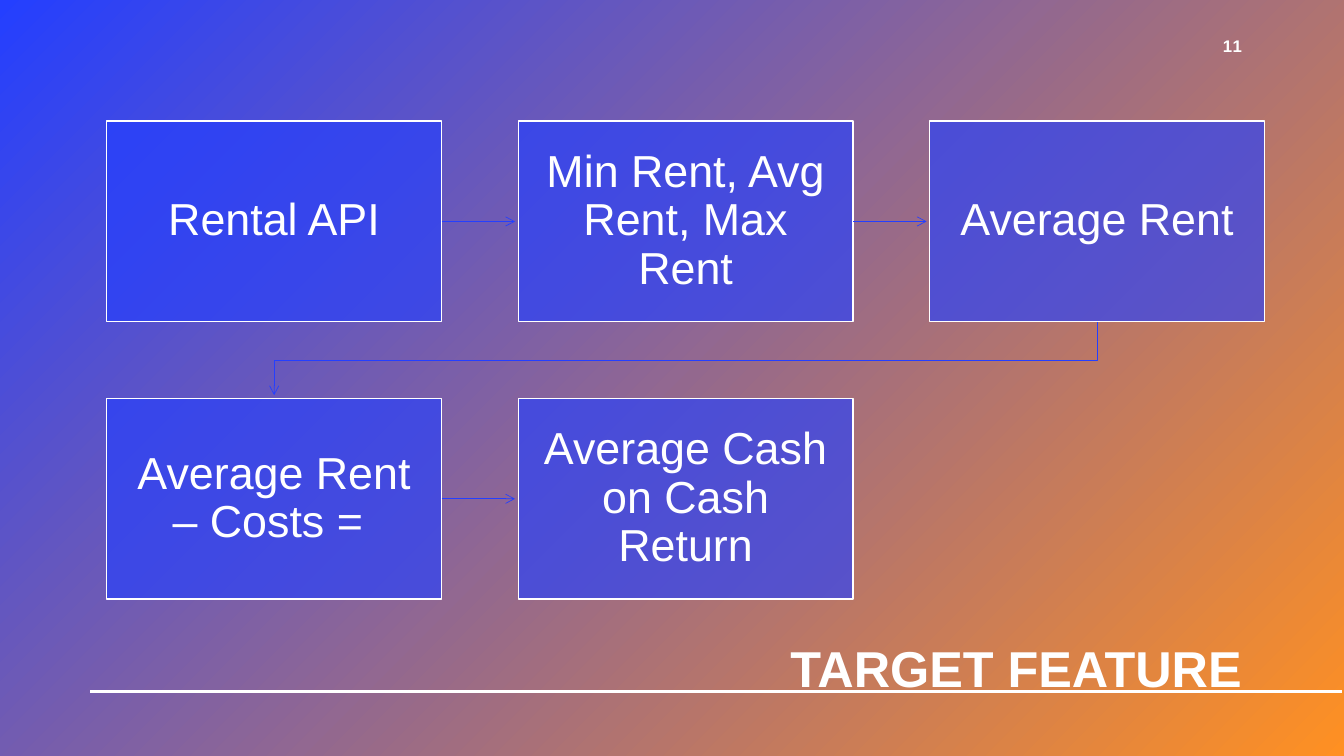
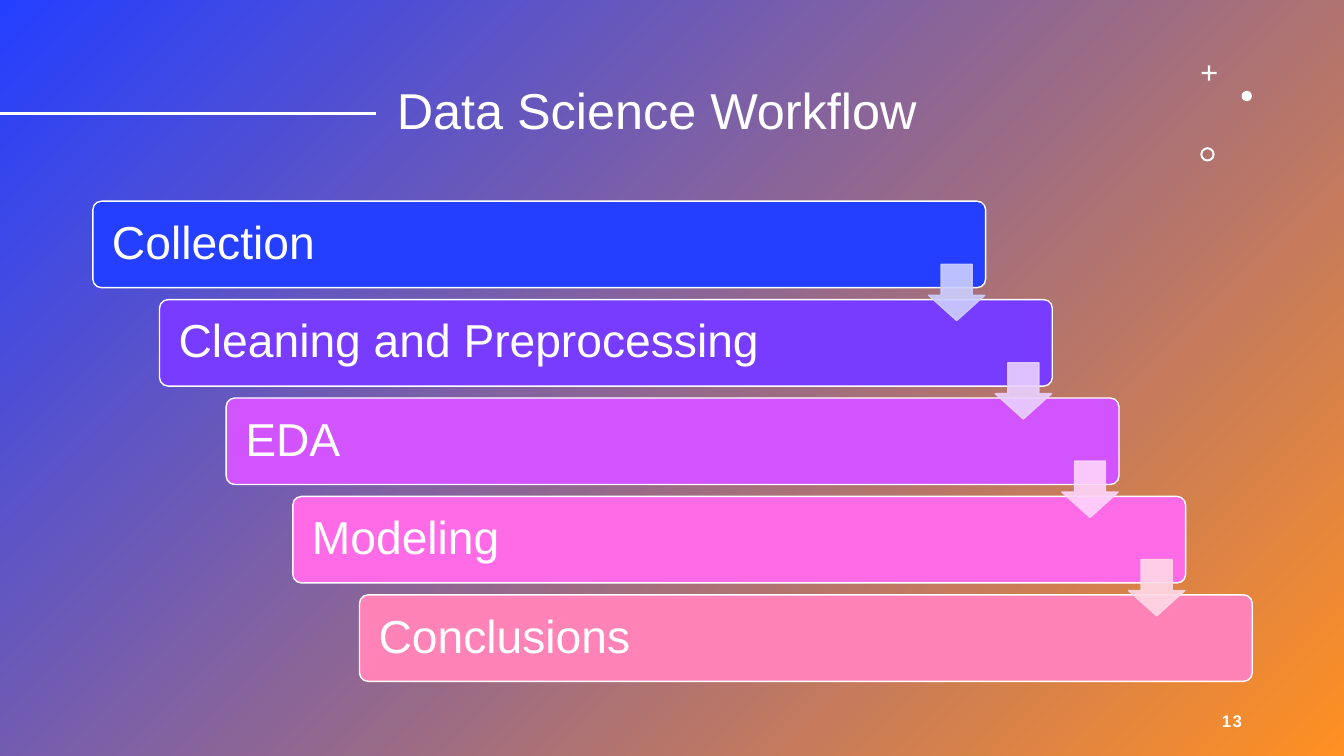
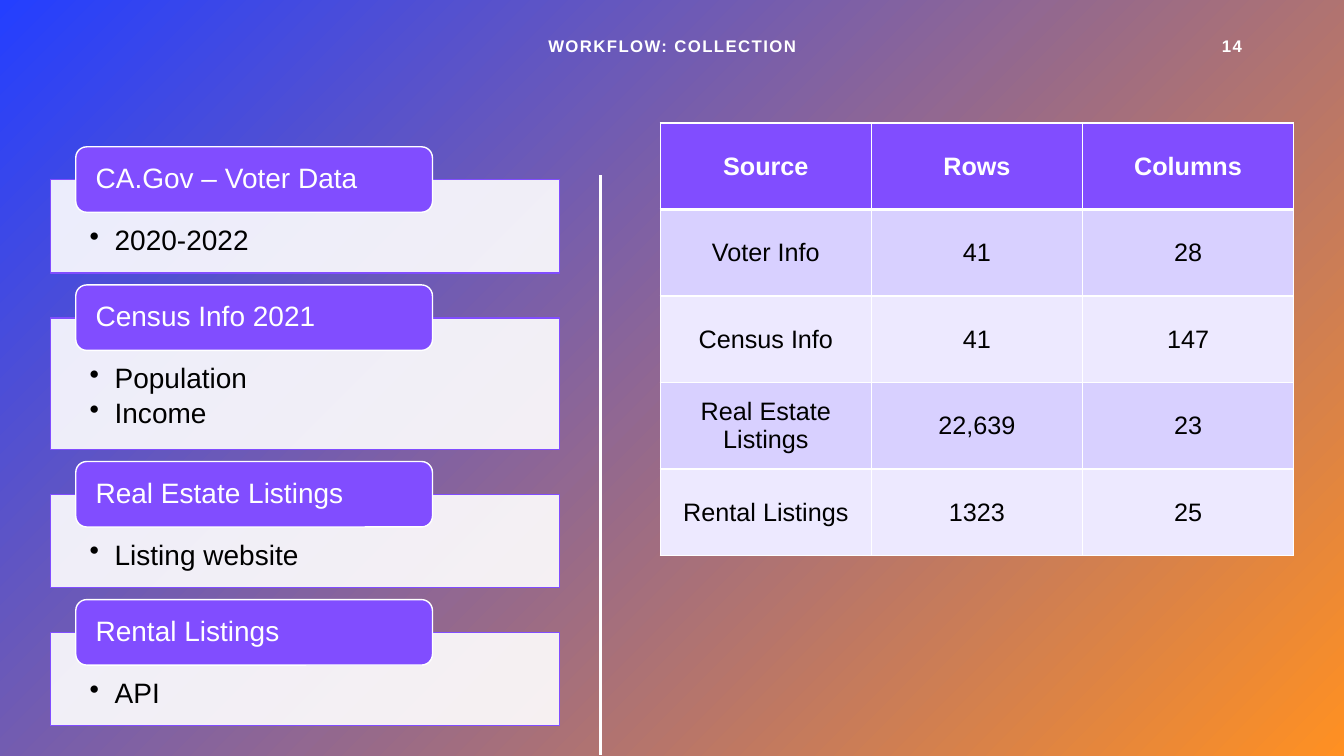
from dataclasses import dataclass
from itertools import pairwise

from lxml import etree
from pptx import Presentation
from pptx.dml.color import RGBColor
from pptx.enum import shapes, text
from pptx.oxml.ns import qn
from pptx.util import Cm, Pt

BLUE = RGBColor(0x24, 0x3F, 0xFF)
ORANGE = RGBColor(0xFF, 0x90, 0x22)
PURPLE = RGBColor(0x81, 0x4D, 0xFF)
LILAC = RGBColor(0xD8, 0xD0, 0xFF)
PALE = RGBColor(0xED, 0xE9, 0xFF)
WHITE = RGBColor(0xFF, 0xFF, 0xFF)
BLACK = RGBColor(0x00, 0x00, 0x00)

FONT = "Arial"
KIND = shapes.MSO_SHAPE
LEFT, MID, RIGHT = text.PP_ALIGN.LEFT, text.PP_ALIGN.CENTER, text.PP_ALIGN.RIGHT
WIDE, HIGH = 33.87, 19.05
EDGE = 31.55  # right edge of titles and page numbers

Point = tuple[float, float]


@dataclass(frozen=True)
class Box:
    """Place and size in centimetres."""
    x: float
    y: float
    w: float
    h: float

    def cm(self) -> list[int]:
        return [Cm(v) for v in (self.x, self.y, self.w, self.h)]


@dataclass(frozen=True)
class Step:
    name: str
    fill: RGBColor
    arrow: RGBColor | None = None


@dataclass(frozen=True)
class Card:
    head: str
    items: list[str]


FLOW = ["Rental API", "Min Rent, Avg Rent, Max Rent", "Average Rent",
        "Average Rent – Costs = ", "Average Cash on Cash Return"]

STEPS = [
    Step("Collection", BLUE, RGBColor(0xCD, 0xCF, 0xFF)),
    Step("Cleaning and Preprocessing", RGBColor(0x77, 0x3C, 0xFF),
         RGBColor(0xE9, 0xD1, 0xFF)),
    Step("EDA", RGBColor(0xD1, 0x54, 0xFF), RGBColor(0xFF, 0xD5, 0xFB)),
    Step("Modeling", RGBColor(0xFF, 0x6B, 0xE7), RGBColor(0xFF, 0xD9, 0xE6)),
    Step("Conclusions", RGBColor(0xFF, 0x83, 0xB6)),
]

CARDS = [
    Card("CA.Gov – Voter Data", ["2020-2022"]),
    Card("Census Info 2021", ["Population", "Income"]),
    Card("Real Estate Listings", ["Listing website"]),
    Card("Rental Listings", ["API"]),
]

ROWS = [
    ("Source", "Rows", "Columns"),
    ("Voter Info", "41", "28"),
    ("Census Info", "41", "147"),
    ("Real Estate Listings", "22,639", "23"),
    ("Rental Listings", "1323", "25"),
]


def write(frame, words: str | list[str], *, size: float, color: RGBColor = WHITE,
          bold: bool = False, align=LEFT, lead: float = 1.0, after: float = 0,
          track: float = 0, bullet: bool = False) -> None:
    """Fill a text frame, one paragraph for each string."""
    lines = [words] if isinstance(words, str) else words
    for i, line in enumerate(lines):
        para = frame.add_paragraph() if i else frame.paragraphs[0]
        if bullet:
            props = para._p.get_or_add_pPr()
            props.set("marL", str(Cm(0.63)))
            props.set("indent", str(-Cm(0.63)))
            etree.SubElement(props, qn("a:buChar")).set("char", "•")
        para.alignment = align
        para.line_spacing = lead
        para.space_after = Pt(after)
        run = para.add_run()
        run.text = line
        font = run.font
        font.name, font.size, font.bold = FONT, Pt(size), bold
        font.color.rgb = color
        if track:
            run._r.get_or_add_rPr().set("spc", str(round(track * 100)))


def label(slide, box: Box, words: str, anchor=text.MSO_ANCHOR.MIDDLE, **style) -> None:
    frame = slide.shapes.add_textbox(*box.cm()).text_frame
    frame.word_wrap = True
    frame.vertical_anchor = anchor
    write(frame, words, **style)


def draw(slide, kind, box: Box, fill: RGBColor, line: RGBColor | None = None,
         adj: tuple[float, ...] = (), alpha: int = 100):
    """Add a preset shape; alpha also thins a line of the fill's colour."""
    shape = slide.shapes.add_shape(kind, *box.cm())
    shape.shadow.inherit = False
    for i, value in enumerate(adj):
        shape.adjustments[i] = value
    shape.fill.solid()
    shape.fill.fore_color.rgb = fill
    if line is None:
        shape.line.fill.background()
    else:
        shape.line.color.rgb = line
        shape.line.width = Pt(1)
    if alpha < 100:
        deep = ".//" if line == fill else "./"
        for color in shape._element.spPr.findall(
                f"{deep}{qn('a:solidFill')}/{qn('a:srgbClr')}"):
            etree.SubElement(color, qn("a:alpha")).set("val", str(alpha * 1000))
    return shape


def inset(shape, side: float, top: float = 0, base: float = 0,
          anchor=text.MSO_ANCHOR.MIDDLE):
    """Set the text margins and return the frame."""
    frame = shape.text_frame
    frame.word_wrap = True
    frame.vertical_anchor = anchor
    frame.margin_left = frame.margin_right = Cm(side)
    frame.margin_top, frame.margin_bottom = Cm(top), Cm(base)
    return frame


def stroke(item, color: RGBColor, width: float, arrow: bool = False) -> None:
    item.line.color.rgb = color
    item.line.width = Pt(width)
    props = item._element.spPr
    if arrow:
        etree.SubElement(props.find(qn("a:ln")), qn("a:tailEnd")).set("type", "arrow")
    etree.SubElement(props, qn("a:effectLst"))


def rule(slide, start: Point, end: Point, color: RGBColor = WHITE,
         width: float = 2, arrow: bool = False) -> None:
    ends = [Cm(v) for v in (*start, *end)]
    item = slide.shapes.add_connector(shapes.MSO_CONNECTOR.STRAIGHT, *ends)
    stroke(item, color, width, arrow)


def bend(slide, points: list[Point]) -> None:
    """Draw an arrow that turns at each inner point."""
    first, *rest = [(Cm(x), Cm(y)) for x, y in points]
    path = slide.shapes.build_freeform(*first)
    path.add_line_segments(rest, close=False)
    item = path.convert_to_shape()
    item.fill.background()
    stroke(item, BLUE, 0.5, arrow=True)


def number(slide, page: int, y: float = 0.64) -> None:
    label(slide, Box(EDGE - 4, y, 4, 1.02), str(page),
          size=12, bold=True, align=RIGHT, track=1)


def paint(master) -> None:
    """Give every slide the diagonal gradient."""
    fill = master.background.fill
    fill.gradient()
    fill.gradient_angle = 315
    for stop, color, place in zip(fill.gradient_stops, (BLUE, ORANGE), (0, 1)):
        stop.color.rgb = color
        stop.position = place


def target(slide) -> None:
    label(slide, Box(EDGE - 25.25, 14.73, 25.25, 3), "TARGET FEATURE",
          text.MSO_ANCHOR.BOTTOM, size=36, bold=True, align=RIGHT, lead=0.9)
    number(slide, 11)
    rule(slide, (33.81, 17.42), (2.26, 17.42))

    boxes = [Box(2.69 + 10.37 * (i % 3), 3.05 + 6.99 * (i // 3), 8.44, 5.06)
             for i in range(len(FLOW))]
    for box, words in zip(boxes, FLOW):
        shape = draw(slide, KIND.RECTANGLE, box, BLUE, WHITE, alpha=65)
        write(inset(shape, 0.6, 0.64, 0.64), words, size=32, align=MID, lead=0.9)
    gap = 0.08
    for a, b in pairwise(boxes):
        if a.y == b.y:
            y = a.y + a.h / 2
            rule(slide, (a.x + a.w, y), (b.x - gap, y), BLUE, 0.5, arrow=True)
        else:
            base, turn = a.y + a.h, (a.y + a.h + b.y) / 2
            x, end = a.x + a.w / 2, b.x + b.w / 2
            bend(slide, [(x, base), (x, turn), (end, turn), (end, b.y - gap)])


def work(slide) -> None:
    label(slide, Box(9.75, 1.02, 19.9, 3.68), "Data Science Workflow",
          size=36, lead=0.9)
    rule(slide, (0, 2.85), (9.48, 2.85))
    draw(slide, KIND.CROSS, Box(30.28, 1.65, 0.38, 0.38), WHITE, adj=(0.43,))
    draw(slide, KIND.OVAL, Box(31.29, 2.29, 0.26, 0.26), WHITE)
    draw(slide, KIND.DONUT, Box(30.25, 3.71, 0.36, 0.36), WHITE, adj=(0.14,))
    number(slide, 13, 17.65)

    bars = [Box(2.34 + 1.68 * i, 5.07 + 2.48 * i, 22.5, 2.18)
            for i in range(len(STEPS))]
    for bar, step in zip(bars, STEPS):
        shape = draw(slide, KIND.ROUNDED_RECTANGLE, bar, step.fill, WHITE, (0.1,))
        write(inset(shape, 0.42), step.name, size=33, lead=0.9)
    for bar, step in zip(bars, STEPS):
        if step.arrow:
            draw(slide, KIND.DOWN_ARROW, Box(bar.x + 21.06, bar.y + 1.59, 1.42, 1.42),
                 step.arrow, step.arrow, (0.55, 0.45), alpha=90)


def edge(cell, **widths: float) -> None:
    """Draw white cell borders, widths in points by side."""
    props = cell._tc.get_or_add_tcPr()
    for side, width in widths.items():
        line = etree.SubElement(props, qn(f"a:ln{side}"), w=str(Pt(width)))
        fill = etree.SubElement(line, qn("a:solidFill"))
        etree.SubElement(fill, qn("a:srgbClr"), val=str(WHITE))


def grid(slide) -> None:
    wide, high = 5.32, 2.18
    box = Box(16.64, 3.1, wide * len(ROWS[0]), high * len(ROWS))
    table = slide.shapes.add_table(len(ROWS), len(ROWS[0]), *box.cm()).table
    table.horz_banding = False
    for col in table.columns:
        col.width = Cm(wide)
    for r, row in enumerate(ROWS):
        table.rows[r].height = Cm(high)
        top = r == 0
        for c, words in enumerate(row):
            cell = table.cell(r, c)
            edge(cell, L=1, R=1, T=3 if r == 1 else 1, B=3 if top else 1)
            cell.fill.solid()
            cell.fill.fore_color.rgb = PURPLE if top else LILAC if r % 2 else PALE
            cell.vertical_anchor = text.MSO_ANCHOR.MIDDLE
            write(cell.text_frame, words, size=18, bold=top, align=MID,
                  color=WHITE if top else BLACK)


def collect(slide) -> None:
    label(slide, Box(11.23, 0.64, 11.43, 1.02), "WORKFLOW: COLLECTION",
          size=12, bold=True, align=MID, track=1)
    number(slide, 14)
    rule(slide, (15.13, 4.42), (15.13, 19.02))

    y = 4.53
    for card in CARDS:
        high = 1.38 + 0.97 * len(card.items)
        body = draw(slide, KIND.RECTANGLE, Box(1.27, y, 12.83, high),
                    WHITE, PURPLE, alpha=90)
        write(inset(body, 0.99, 1.17, 0.4, text.MSO_ANCHOR.TOP), card.items,
              size=20, color=BLACK, lead=0.9, after=3.5, bullet=True)
        tab = draw(slide, KIND.ROUNDED_RECTANGLE, Box(1.91, y - 0.83, 8.99, 1.65),
                   PURPLE, WHITE)
        write(inset(tab, 0.42), card.head, size=20, lead=0.9)
        y += high + 1.13
    grid(slide)


def main() -> None:
    deck = Presentation()
    deck.slide_width, deck.slide_height = Cm(WIDE), Cm(HIGH)
    paint(deck.slide_master)
    for build in (target, work, collect):
        build(deck.slides.add_slide(deck.slide_layouts[6]))
    deck.save("out.pptx")


if __name__ == "__main__":
    main()
